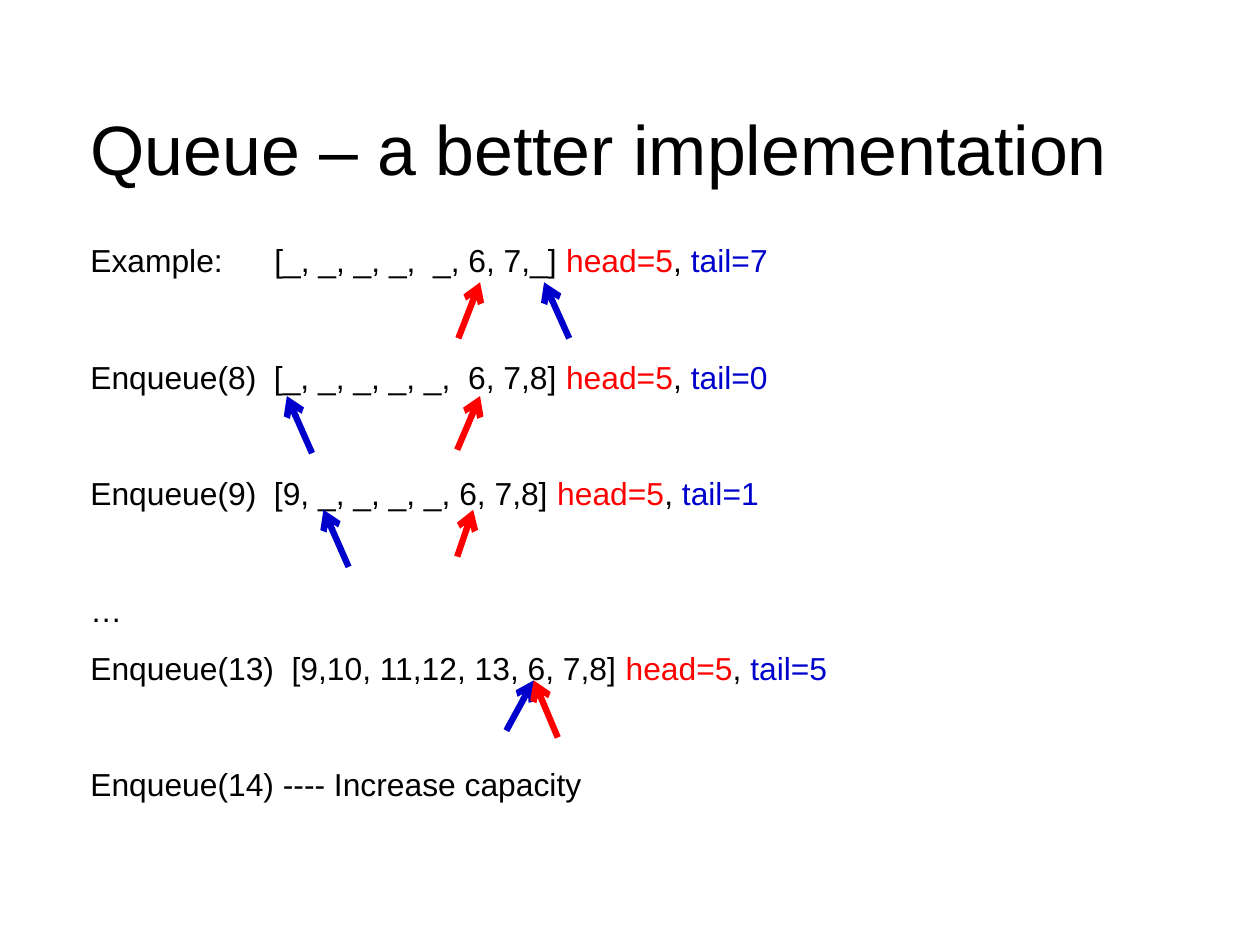
from lxml import etree
from pptx import Presentation
from pptx import util as u
from pptx.dml.color import RGBColor
from pptx.enum import shapes, text
from pptx.oxml import ns

SLIDE_CM = (28, 21)
COLORS = {"ink": "000000", "head": "FF0000", "tail": "0000CC"}
TITLE_BOX = (0.79, 0.75, 9.25, 1.12)
BODY_BOX = (0.79, 2.13, 9.68, 5.26)
LINE_GAP, BLANK_LINE = 14.2, 36.8
TIP_TOP, ROW_STEP = 0.34, 0.4975
LABEL_WIDTH = 1.61

STEPS = [
    ("Example:\t[_, _, _, _,  _, 6, 7,_] ", 5, 7, 1,
     {"head": (3.41, -0.19, 0.49), "tail": (3.97, 0.22, 0.49)}),
    ("Enqueue(8)  [_, _, _, _, _,  6, 7,8] ", 5, 0, 1,
     {"head": (3.41, -0.2, 0.47), "tail": (1.72, 0.22, 0.5)}),
    ("Enqueue(9)  [9, _, _, _, _, 6, 7,8] ", 5, 1, 1,
     {"head": (3.35, -0.14, 0.41), "tail": (2.04, 0.22, 0.5)}),
    ("…", None, None, 0, {}),
    ("Enqueue(13)  [9,10, 11,12, 13, 6, 7,8] ", 5, 5, 1,
     {"tail": (3.88, -0.24, 0.44), "head": (3.88, 0.21, 0.5)}),
    ("Enqueue(14) ---- Increase capacity", None, None, 0, {}),
]


def add_text(p, content, size=20, color="ink", font="Arial"):
    """Append a formatted run to a paragraph."""
    r = p.add_run()
    r.text = content
    r.font.size, r.font.name = u.Pt(size), font
    r.font.color.rgb = RGBColor.from_string(COLORS[color])


def sub(parent, tag, **attrs):
    """Append a DrawingML child element."""
    return etree.SubElement(parent, ns.qn(tag), attrs)


def fit(sp, box, top_inset, anchor):
    """Move a placeholder to its box and return its text frame."""
    sp.left, sp.top, sp.width, sp.height = map(u.Inches, box)
    tf = sp.text_frame
    tf.margin_left = tf.margin_right = tf.margin_bottom = 0
    tf.margin_top = u.Inches(top_inset)
    tf.word_wrap, tf.auto_size = True, text.MSO_AUTO_SIZE.NONE
    tf.vertical_anchor = anchor
    return tf


def format_paragraph(p, after=0, hanging=0):
    """Set left alignment, spacing, hanging indent and no bullet."""
    p.alignment, p.line_spacing = text.PP_ALIGN.LEFT, 0.93
    p.space_before, p.space_after = u.Pt(0), u.Pt(after)
    pPr = p._p.get_or_add_pPr()
    pPr.set("marL", str(u.Inches(hanging)))
    pPr.set("indent", str(-u.Inches(hanging)))
    sub(pPr, "a:buNone")


def add_title(s, box):
    """Fill the title placeholder."""
    p = fit(s.shapes.title, box, 0.04, text.MSO_ANCHOR.MIDDLE).paragraphs[0]
    format_paragraph(p)
    add_text(p, "Queue – a better implementation", size=44)


def add_arrow(s, start, tip, color):
    """Draw a pointer arrow from start to tip."""
    c = s.shapes.add_connector(shapes.MSO_CONNECTOR.STRAIGHT, *map(u.Inches, start + tip))
    c.line.color.rgb = RGBColor.from_string(COLORS[color])
    c.line.width = u.Pt(4)
    sub(c.line._ln, "a:tailEnd", type="arrow")
    sub(c._element.spPr, "a:effectLst")


def add_steps(s, box):
    """Write the queue steps and point arrows at their head and tail cells."""
    tf = fit(s.placeholders[1], box, 0.01, text.MSO_ANCHOR.TOP)
    row = 0
    for i, (label, head, tail, blanks, pointers) in enumerate(STEPS):
        p = tf.add_paragraph() if i else tf.paragraphs[0]
        format_paragraph(p, LINE_GAP + blanks * BLANK_LINE, LABEL_WIDTH)
        add_text(p, label)
        if head is not None:
            add_text(p, f"head={head}", color="head")
            add_text(p, ", ")
            add_text(p, f"tail={tail}", color="tail")
        for name, (x, dx, dy) in pointers.items():
            tip = (box[0] + x, box[1] + TIP_TOP + row * ROW_STEP)
            add_arrow(s, (tip[0] + dx, tip[1] + dy), tip, name)
        row += 1 + blanks


def main():
    """Build the slide and save it."""
    prs = Presentation()
    prs.slide_width, prs.slide_height = map(u.Cm, SLIDE_CM)
    s = prs.slides.add_slide(prs.slide_layouts[1])
    add_title(s, TITLE_BOX)
    add_steps(s, BODY_BOX)
    prs.save("out.pptx")


if __name__ == "__main__":
    main()
